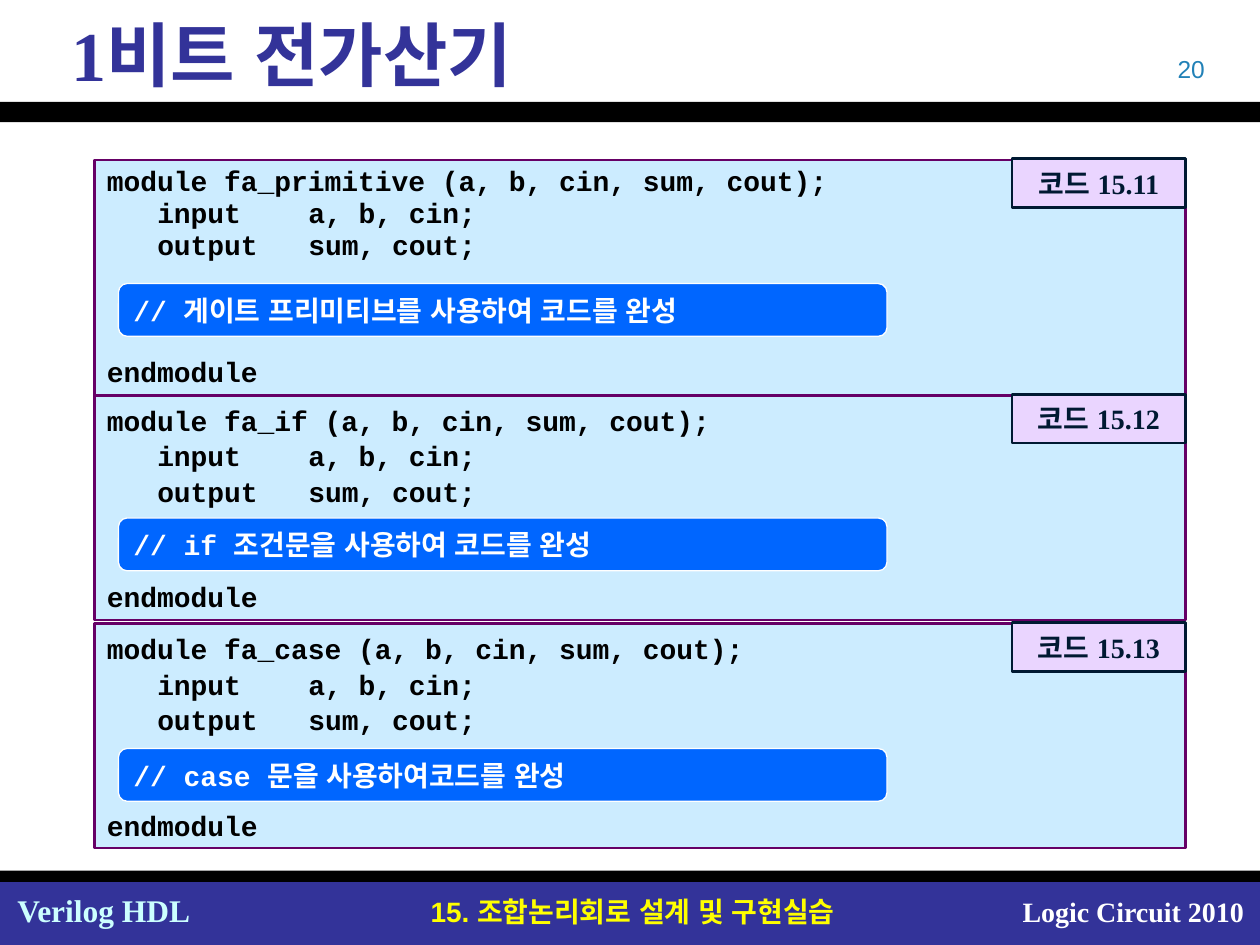
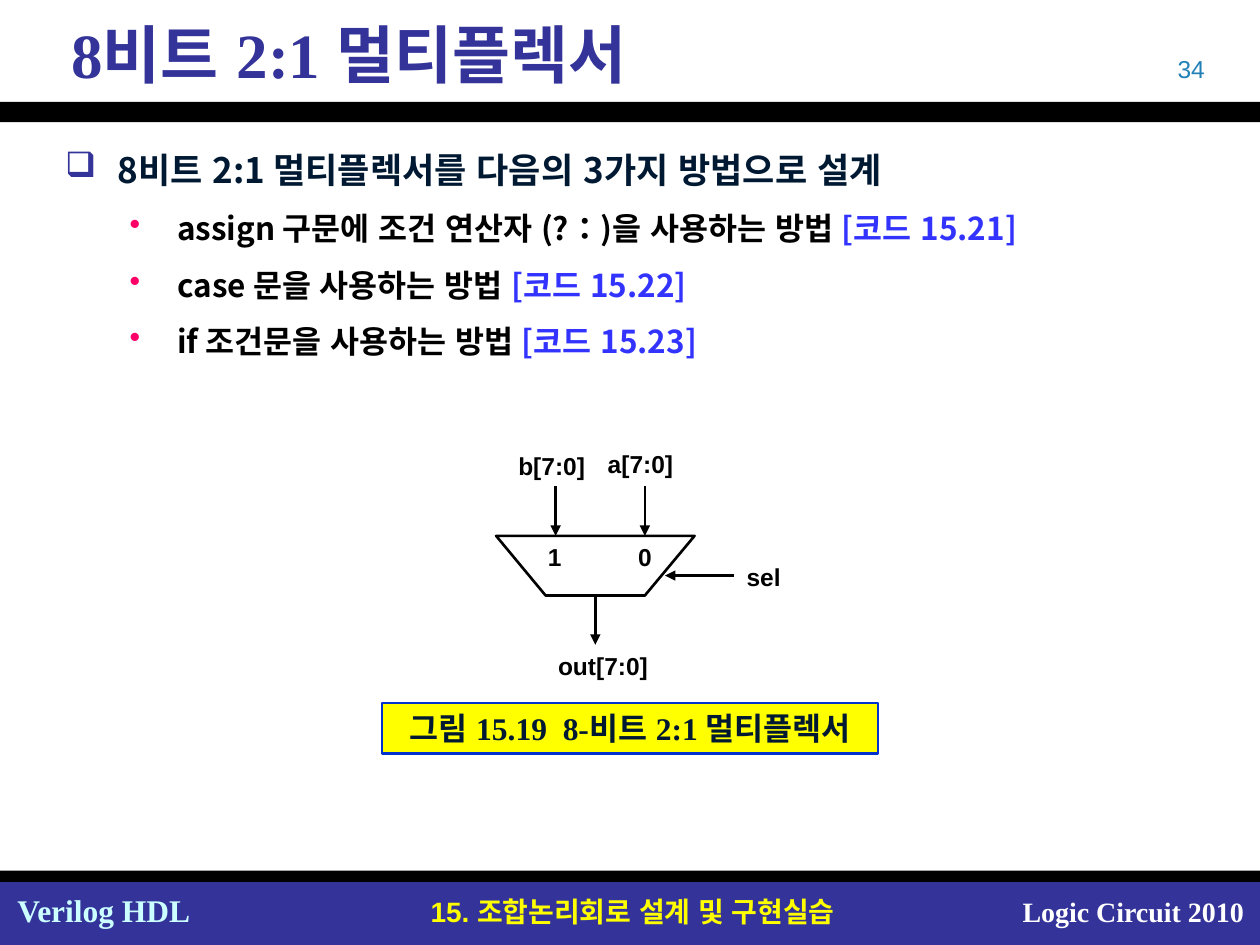
from lxml.etree import SubElement
from pptx import Presentation
from pptx.dml.color import RGBColor
from pptx.enum.lang import MSO_LANGUAGE_ID as Language
from pptx.enum.shapes import MSO_CONNECTOR, MSO_SHAPE as Shape
from pptx.enum.text import MSO_ANCHOR as Anchor, PP_ALIGN as Align
from pptx.oxml.ns import qn
from pptx.util import Pt

SERIF, SANS, MONO, KOREAN = "Times New Roman", "Arial", "Courier New", "Noto Sans CJK KR"
BLACK, WHITE, NAVY, INK = "000000", "FFFFFF", "333399", "001932"
LINE_WIDTH = 1.5
color = RGBColor.from_string


def add_box(slide, at, kind=None, fill=None, line=None, width=LINE_WIDTH, wrap=True):
    place = [Pt(length) for length in at]
    if kind is None:
        box = slide.shapes.add_textbox(*place)
    else:
        box = slide.shapes.add_shape(kind, *place)
        box.shadow.inherit = False
        box.fill.solid()
        box.fill.fore_color.rgb = color(fill)
        if line:
            box.line.color.rgb = color(line)
            box.line.width = Pt(width)
        else:
            box.line.fill.background()
        box.text_frame.vertical_anchor = Anchor.MIDDLE
    box.text_frame.word_wrap = wrap
    return box.text_frame


def write(paragraph, text, font, size, ink, bold=True, align=Align.LEFT):
    paragraph.alignment = align
    run = paragraph.add_run()
    run.text = text
    run.font.name = font
    run.font.size = Pt(size)
    run.font.bold = bold
    run.font.color.rgb = color(ink)
    run.font.language_id = Language.KOREAN
    SubElement(run.font._element, qn("a:ea"), typeface=KOREAN)


prs = Presentation()
prs.slide_width, prs.slide_height = Pt(720), Pt(540)

bands = [
    ((0, 504, 720, 36), NAVY),
    ((0, 58.3, 720, 11.5), BLACK),
    ((0, 497.5, 720, 6.5), BLACK),
]
footers = [
    ((221, 507.6, 281, 26.6), "15. 조합논리회로 설계 및 구현실습", SANS, 16, "FFFF00", Align.CENTER),
    ((567.4, 507.6, 150.5, 26.6), "Logic Circuit 2010", SERIF, 16, WHITE, Align.RIGHT),
    ((2.9, 505.4, 114, 28.8), "Verilog HDL", SERIF, 18, "CCFFFF", Align.LEFT),
]
headings = [("1비트 전가산기", 40, "20"), ("8비트 2:1 멀티플렉서", 36, "34")]

slides = []
for title, title_size, page in headings:
    slide = prs.slides.add_slide(prs.slide_layouts[6])
    for at, fill in bands:
        add_box(slide, at, Shape.RECTANGLE, fill)
    for at, text, font, size, ink, align in footers:
        write(add_box(slide, at).paragraphs[0], text, font, size, ink, align=align)
    page_number = add_box(slide, (527.8, 27.4, 167.8, 23.8))
    write(page_number.paragraphs[0], page, SANS, 14, "2181B7", False, Align.RIGHT)
    heading = add_box(slide, (33.8, 7.2, 674.7, 46.8))
    heading.vertical_anchor = Anchor.MIDDLE
    write(heading.paragraphs[0], title, SERIF, title_size, NAVY)
    slides.append(slide)
adder_slide, mux_slide = slides

CODE_SIZE = 16
CHAR_WIDTH = 0.6 * CODE_SIZE
LINE_HEIGHT = 1.2 * CODE_SIZE
listings = [
    ("fa_primitive", "15.11", 91.4, 134.6, 0.95, 3, 162, "// 게이트 프리미티브를 사용하여 코드를 완성"),
    ("fa_if", "15.12", 226, 128.2, 1.05, 2, 296, "// if 조건문을 사용하여 코드를 완성"),
    ("fa_case", "15.13", 356.4, 128.2, 1.05, 2, 427.7, "// case 문을 사용하여코드를 완성"),
]
for module, number, top, height, spacing, gap_lines, task_top, task in listings:
    listing = add_box(adder_slide, (54, top, 623.5, height), Shape.RECTANGLE, "CCECFF", "660066")
    code = [f"module {module} (a, b, cin, sum, cout);", "input\ta, b, cin;", "output\tsum, cout;", "endmodule"]
    for index, code_line in enumerate(code):
        paragraph = listing.add_paragraph() if index else listing.paragraphs[0]
        paragraph.line_spacing = spacing
        write(paragraph, code_line, MONO, CODE_SIZE, BLACK)
        if "\t" in code_line:
            properties = paragraph._p.get_or_add_pPr()
            properties.set("marL", str(Pt(12 * CHAR_WIDTH)))
            properties.set("indent", str(Pt(-9 * CHAR_WIDTH)))
    paragraph.space_before = Pt(gap_lines * spacing * LINE_HEIGHT)

    badge = add_box(adder_slide, (578.2, top - 0.7, 99.3, 28), Shape.RECTANGLE, "EAD5FF", INK)
    write(badge.paragraphs[0], f"코드 {number}", SERIF, 16, INK, align=Align.CENTER)
    todo = add_box(adder_slide, (67.7, task_top, 439.2, 30.2), Shape.ROUNDED_RECTANGLE, "0066FF", WHITE, 0.75)
    write(todo.paragraphs[0], task, MONO, CODE_SIZE, WHITE)

methods = [
    ("8비트 2:1 멀티플렉서를 다음의 3가지 방법으로 설계", None),
    ("assign 구문에 조건 연산자 (?：)을 사용하는 방법 ", "[코드 15.21]"),
    ("case 문을 사용하는 방법 ", "[코드 15.22]"),
    ("if 조건문을 사용하는 방법 ", "[코드 15.23]"),
]
outline = add_box(mux_slide, (30.2, 69.1, 666, 157))
for index, (text, reference) in enumerate(methods):
    paragraph = outline.add_paragraph() if index else outline.paragraphs[0]
    paragraph.line_spacing = 1.5
    if reference:
        paragraph.level = 1
        write(paragraph, text, KOREAN, 18, BLACK)
        write(paragraph, reference, KOREAN, 18, "3333FF")
        margin, hanging, mark, mark_color = 64, 27.2, "•", "FF0066"
    else:
        write(paragraph, text, KOREAN, 20, INK)
        margin, hanging, mark, mark_color = 30, 30, "❑", NAVY
    properties = paragraph._p.get_or_add_pPr()
    properties.set("marL", str(Pt(margin)))
    properties.set("indent", str(Pt(-hanging)))
    SubElement(SubElement(properties, qn("a:buClr")), qn("a:srgbClr"), val=mark_color)
    SubElement(properties, qn("a:buChar"), char=mark)

caption = add_box(mux_slide, (218.2, 401.8, 283.6, 28.8), Shape.RECTANGLE, "FFFF00", "0033CC", wrap=False)
write(caption.paragraphs[0], "그림 15.19  8-비트 2:1 멀티플렉서", SERIF, 18, INK, align=Align.CENTER)

MUX_TOP, MUX_BOTTOM = 306.2, 340.3
outline_builder = mux_slide.shapes.build_freeform(Pt(283.5), Pt(MUX_TOP), scale=1.0)
outline_builder.add_line_segments(
    [(Pt(x), Pt(y)) for x, y in [(311.8, MUX_BOTTOM), (368.5, MUX_BOTTOM), (396.9, MUX_TOP)]], close=True
)
mux = outline_builder.convert_to_shape()
mux.shadow.inherit = False
mux.fill.background()
mux.line.color.rgb = color(BLACK)
mux.line.width = Pt(LINE_WIDTH)

signals = [
    (368.5, 277.8, 368.5, MUX_TOP),
    (317.5, 277.8, 317.5, MUX_TOP),
    (340.2, MUX_BOTTOM, 340.2, 368.5),
    (419.5, 328.9, 380, 328.9),
]
for ends in signals:
    arrow = mux_slide.shapes.add_connector(MSO_CONNECTOR.STRAIGHT, *[Pt(length) for length in ends])
    arrow.line.color.rgb = color(BLACK)
    arrow.line.width = Pt(LINE_WIDTH)
    SubElement(arrow.line._get_or_add_ln(), qn("a:tailEnd"), type="triangle")
    SubElement(arrow._element.spPr, qn("a:effectLst"))

ports = [
    ("a[7:0]", 340.2, 252.9, 56),
    ("b[7:0]", 289.1, 254.2, 56),
    ("out[7:0]", 311.8, 368.5, 72),
    ("1", 306, MUX_TOP, 26),
    ("0", 357.5, MUX_TOP, 26),
    ("sel", 419.5, 317.5, 38),
]
for port, left, top, width in ports:
    label = add_box(mux_slide, (left, top, width, 24.5))
    write(label.paragraphs[0], port, SANS, 14, BLACK)

prs.save("out.pptx")
